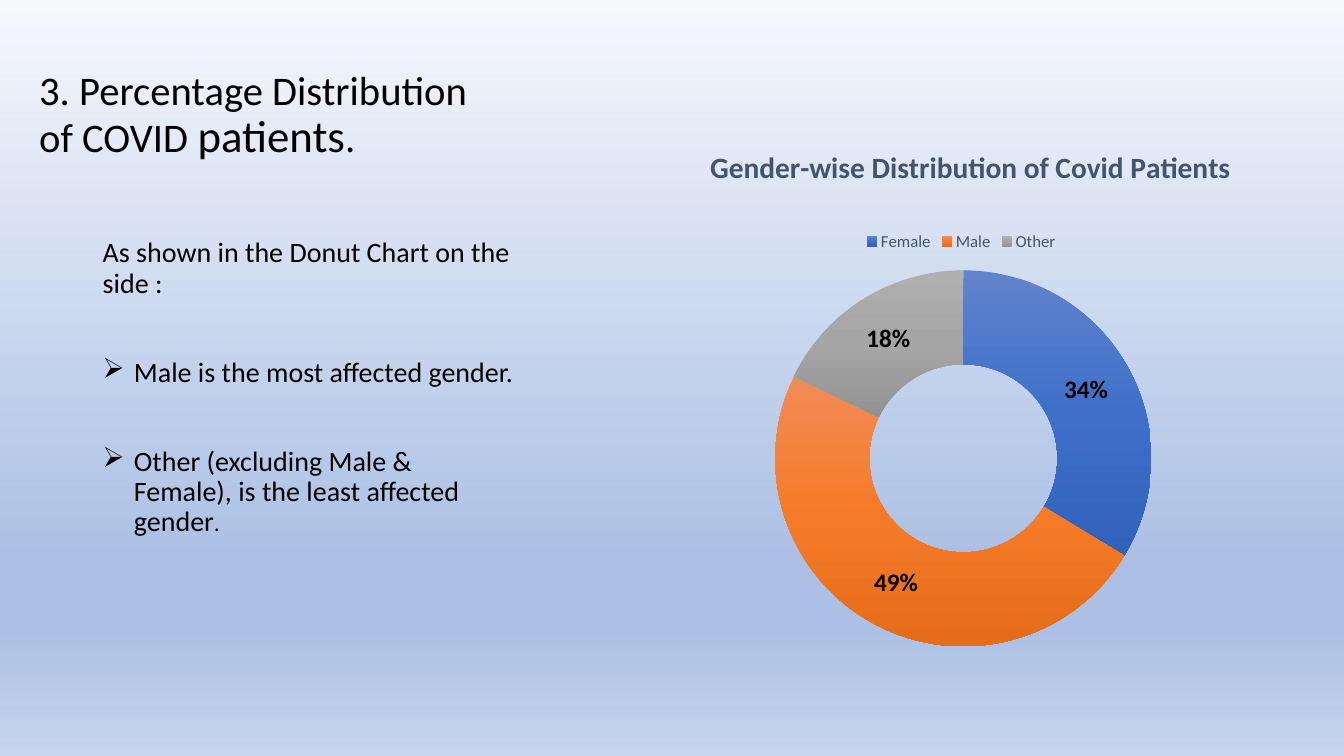
from dataclasses import dataclass

from pptx import Presentation
from pptx.chart.data import CategoryChartData
from pptx.dml.color import RGBColor
from pptx.enum.chart import XL_CHART_TYPE, XL_LEGEND_POSITION
from pptx.enum.text import MSO_ANCHOR
from pptx.oxml import parse_xml
from pptx.oxml.ns import nsdecls, qn
from pptx.util import Inches, Pt

DOUGHNUT = XL_CHART_TYPE.DOUGHNUT
LEGEND_TOP = XL_LEGEND_POSITION.TOP
TOP, BOTTOM = MSO_ANCHOR.TOP, MSO_ANCHOR.BOTTOM


@dataclass(frozen=True)
class Theme:
    font: str = "Calibri"
    text: str = "000000"
    muted: str = "44546A"
    heading: int = 29
    heading_large: int = 32
    body: int = 20
    body_small: int = 16
    chart_title: int = 21
    label: int = 18
    legend: int = 12
    chart: int = 10
    line_spacing: float = 0.9
    background: tuple = ((0, "F6F8FC"), (74, "ABC0E4"), (83, "ABC0E4"), (100, "C7D5ED"))
    slices: tuple = (
        ((0, "6183CB"), (50, "3E70CA"), (100, "3062BB")),
        ((0, "F18C57"), (50, "F67B28"), (100, "E56C19")),
        ((0, "AFAFAF"), (50, "A5A5A5"), (100, "939393")),
    )


class SlideBuilder:
    def __init__(self, slide, theme):
        self.slide = slide
        self.theme = theme

    def style(self, font, size, color, bold=False):
        font.name = self.theme.font
        font.size = Pt(size)
        font.bold = bold
        font.color.rgb = RGBColor.from_string(color)

    def set_gradients(self, root, gradients):
        """Give each gradient fill under root its own vertical stops."""
        for fill, stops in zip(list(root.iter(qn("a:gradFill"))), gradients):
            stop_xml = "".join(
                f'<a:gs pos="{position * 1000}"><a:srgbClr val="{color}"/></a:gs>'
                for position, color in stops)
            fill.getparent().replace(fill, parse_xml(
                f'<a:gradFill {nsdecls("a")} rotWithShape="1"><a:gsLst>{stop_xml}</a:gsLst>'
                '<a:lin ang="5400000" scaled="0"/></a:gradFill>'))

    def background(self):
        self.slide.background.fill.gradient()
        self.set_gradients(self.slide.element, [self.theme.background])

    def text(self, left, top, width, height, paragraphs, size, anchor=TOP):
        """Each paragraph is (runs, space before, bullet); a run is (text, own size)."""
        box = self.slide.shapes.add_textbox(
            Inches(left), Inches(top), Inches(width), Inches(height))
        frame = box.text_frame
        frame.word_wrap = True
        frame.vertical_anchor = anchor
        for index, (runs, space_before, bullet) in enumerate(paragraphs):
            paragraph = frame.add_paragraph() if index else frame.paragraphs[0]
            paragraph.line_spacing = self.theme.line_spacing
            paragraph.space_before = Pt(space_before)
            self.style(paragraph.font, size, self.theme.text)
            if bullet:
                self.bullet(paragraph, bullet)
            for content, own_size in runs:
                run = paragraph.add_run()
                run.text = content
                if own_size:
                    run.font.size = Pt(own_size)

    def bullet(self, paragraph, character):
        properties = paragraph._p.get_or_add_pPr()
        indent = Inches(0.31)
        properties.set("marL", str(indent))
        properties.set("indent", str(-indent))
        mark = parse_xml(f'<a:buChar {nsdecls("a")} char="{character}"/>')
        properties.find(qn("a:defRPr")).addprevious(mark)

    def place(self, part, index, **fractions):
        """Place a chart part by fractions of the chart area."""
        for layout in part.findall(qn("c:layout")):
            part.remove(layout)
        modes = "".join(f'<c:{axis}Mode val="edge"/>' for axis in "xy")
        values = "".join(f'<c:{key} val="{value}"/>' for key, value in fractions.items())
        target = '<c:layoutTarget val="inner"/>' if "w" in fractions else ""
        part.insert(index, parse_xml(
            f'<c:layout {nsdecls("c")}><c:manualLayout>{target}{modes}{values}'
            '</c:manualLayout></c:layout>'))

    def doughnut(self, left, top, width, height, title, values):
        theme = self.theme
        data = CategoryChartData()
        data.categories = list(values)
        data.add_series("Series 1", list(values.values()))
        chart = self.slide.shapes.add_chart(
            DOUGHNUT, Inches(left), Inches(top), Inches(width), Inches(height), data).chart
        self.style(chart.font, theme.chart, theme.text)

        # Title and legend
        chart.has_title = True
        chart.chart_title.include_in_layout = False
        heading = chart.chart_title.text_frame
        heading.text = title
        self.style(heading.paragraphs[0].font, theme.chart_title, theme.muted, bold=True)
        chart.has_legend = True
        chart.legend.position = LEGEND_TOP
        chart.legend.include_in_layout = False
        self.style(chart.legend.font, theme.legend, theme.muted)

        # Slices and percentages
        plot = chart.plots[0]
        plot.vary_by_categories = True
        for index in range(len(values)):
            slice_format = plot.series[0].points[index].format
            slice_format.fill.gradient()
            slice_format.line.fill.background()
        self.set_gradients(chart.element, theme.slices)
        plot.has_data_labels = True
        labels = plot.data_labels
        labels.show_value = False
        labels.show_percentage = True
        labels.number_format = "0%"
        labels.number_format_is_linked = False
        self.style(labels.font, theme.label, theme.text, bold=True)

        # Arrangement inside the chart area
        area = chart.element.chart
        self.place(area.find(qn("c:title")), 1, x=0.12, y=0.04)
        self.place(area.find(qn("c:legend")), 1, x=0.35, y=0.2)
        self.place(area.find(qn("c:plotArea")), 0, x=0.22, y=0.28, w=0.56, h=0.7)


def main():
    presentation = Presentation()
    presentation.slide_width = Inches(13.33)
    presentation.slide_height = Inches(7.5)
    theme = Theme()
    builder = SlideBuilder(
        presentation.slides.add_slide(presentation.slide_layouts[6]), theme)
    builder.background()

    # Heading
    heading = [("3. Percentage Distribution of COVID ", None),
               ("patients", theme.heading_large), (".", None)]
    builder.text(0.29, 0.34, 4.62, 1.32, [(heading, 0, None)], theme.heading, BOTTOM)

    # Findings
    builder.text(0.92, 2.32, 4.3, 4.17, [
        ([("As shown in the Donut Chart on the side :", None)], 0, None),
        ([("Male is the most affected gender.", None)], 42, "➢"),
        ([("Other (excluding Male & Female), is the least affected gender", None),
          (".", theme.body_small)], 42, "➢"),
    ], theme.body)

    # Gender chart
    builder.doughnut(6.18, 1.19, 6.75, 5.33, "Gender-wise Distribution of Covid Patients",
                     {"Female": 34, "Male": 49, "Other": 18})
    presentation.save("out.pptx")


if __name__ == "__main__":
    main()
